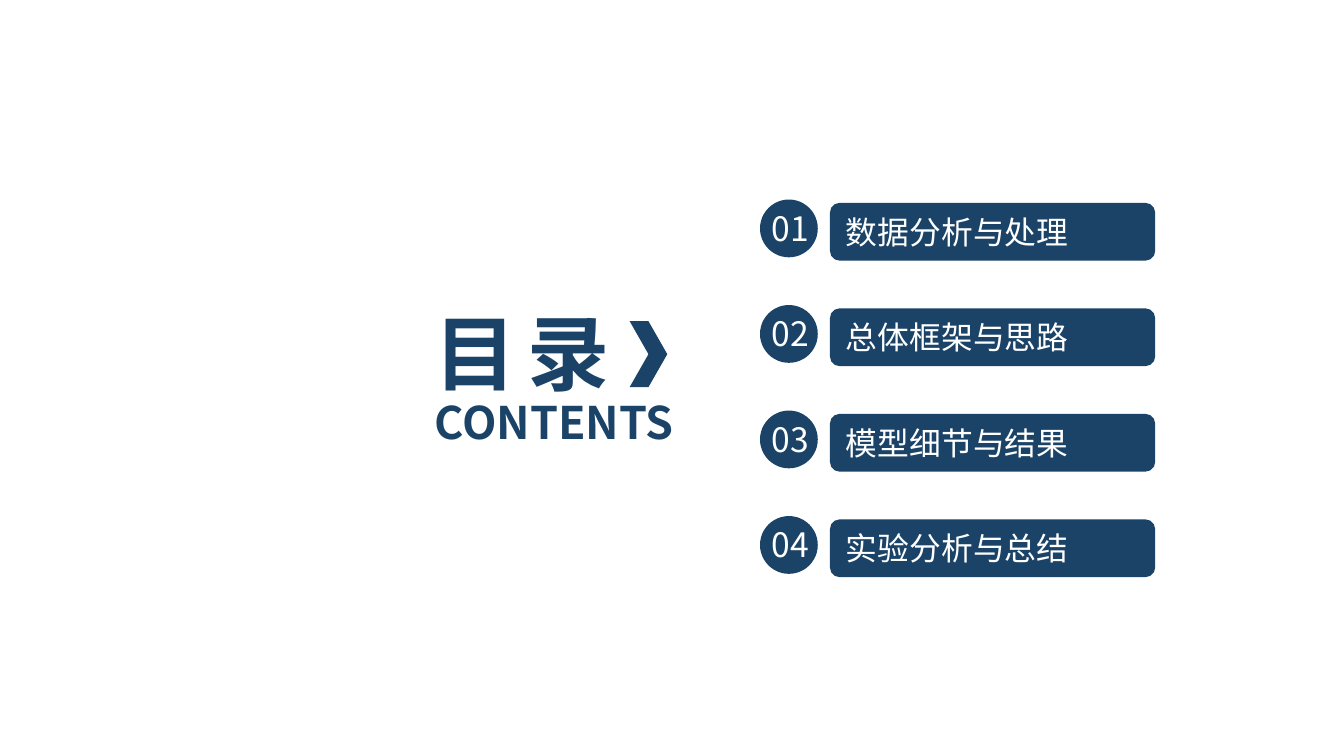
from lxml.etree import SubElement
from pptx import Presentation
from pptx.dml.color import RGBColor
from pptx.enum.shapes import MSO_SHAPE
from pptx.enum.text import MSO_ANCHOR, MSO_AUTO_SIZE, PP_ALIGN
from pptx.oxml.ns import qn
from pptx.util import Emu, Pt

PIXEL = 4572
FONT = "Noto Sans CJK SC"
NAVY = RGBColor(0x1B, 0x43, 0x67)
WHITE = RGBColor(0xFF, 0xFF, 0xFF)
TITLE_FORMAT = {"size": Pt(44), "bold": True}
SUBTITLE_FORMAT = {"size": Pt(24), "bold": True}
ENTRY_FORMAT = {"size": Pt(17), "bold": False}
NUMBER_FORMAT = {"size": Pt(18), "bold": False}
ENTRIES = ["数据分析与处理", "总体框架与思路", "模型细节与结果", "实验分析与总结"]


def px(*lengths):
    """Turn pixel lengths into EMU."""
    return [Emu(length * PIXEL) for length in lengths]


def write_text(shape, text, color, format_values, alignment=PP_ALIGN.LEFT, spacing=0):
    """Write one vertically centred line of text into a shape."""
    frame = shape.text_frame
    frame_values = {
        "word_wrap": True,
        "auto_size": MSO_AUTO_SIZE.NONE,
        "vertical_anchor": MSO_ANCHOR.MIDDLE,
        "margin_top": 0,
        "margin_bottom": 0,
    }
    for name, value in frame_values.items():
        setattr(frame, name, value)
    paragraph = frame.paragraphs[0]
    paragraph.alignment = alignment
    run = paragraph.add_run()
    run.text = text
    run.font.color.rgb = color
    for name, value in {"name": FONT, **format_values}.items():
        setattr(run.font, name, value)
    properties = run._r.get_or_add_rPr()
    SubElement(properties, qn("a:ea")).set("typeface", FONT)
    if spacing:
        properties.set("spc", str(spacing))


def add_solid_shape(shapes, kind, left, top, width, height):
    """Add a navy preset shape without outline or shadow."""
    shape = shapes.add_shape(kind, *px(left, top, width, height))
    shape.shadow.inherit = False
    shape.fill.solid()
    shape.fill.fore_color.rgb = NAVY
    shape.line.fill.background()
    return shape


def add_heading(slide, left, top, width):
    """Place the title, its chevron and the subtitle."""
    title = slide.shapes.title
    title.left, title.top, title.width, title.height = px(left, top, width, 168)
    write_text(title, "目 录", NAVY, TITLE_FORMAT, spacing=-220)
    subtitle = slide.shapes.add_textbox(*px(left, top + 138, width - 8, 100))
    write_text(subtitle, "CONTENTS", NAVY, SUBTITLE_FORMAT)
    add_solid_shape(slide.shapes, MSO_SHAPE.CHEVRON, left + 310, top + 38, 56, 98)


def add_entry(slide, number, text, left, top, width, height):
    """Place one numbered badge and its labelled bar."""
    bar_offset = 104
    bar = add_solid_shape(
        slide.shapes, MSO_SHAPE.ROUNDED_RECTANGLE,
        left + bar_offset, top + 5, width - bar_offset, height,
    )
    write_text(bar, text, WHITE, ENTRY_FORMAT)
    badge = slide.shapes.add_group_shape()
    add_solid_shape(badge.shapes, MSO_SHAPE.OVAL, left, top, height, height)
    label = badge.shapes.add_textbox(*px(left - 7, top + 2, 104, 80))
    write_text(label, f"{number:02}", WHITE, NUMBER_FORMAT, PP_ALIGN.CENTER)


def add_contents(slide, left, top, width, pitch):
    """Stack the contents entries at an equal pitch."""
    for index, text in enumerate(ENTRIES):
        add_entry(slide, index + 1, text, left, top + index * pitch, width, 86)


def main():
    """Build and save the contents slide."""
    presentation = Presentation()
    presentation.slide_width, presentation.slide_height = px(2000, 1125)
    slide = presentation.slides.add_slide(presentation.slide_layouts[5])
    slide.background.fill.solid()
    slide.background.fill.fore_color.rgb = WHITE
    add_heading(slide, left=627, top=440, width=470)
    add_contents(slide, left=1131, top=297, width=588, pitch=157)
    presentation.save("out.pptx")


if __name__ == "__main__":
    main()
